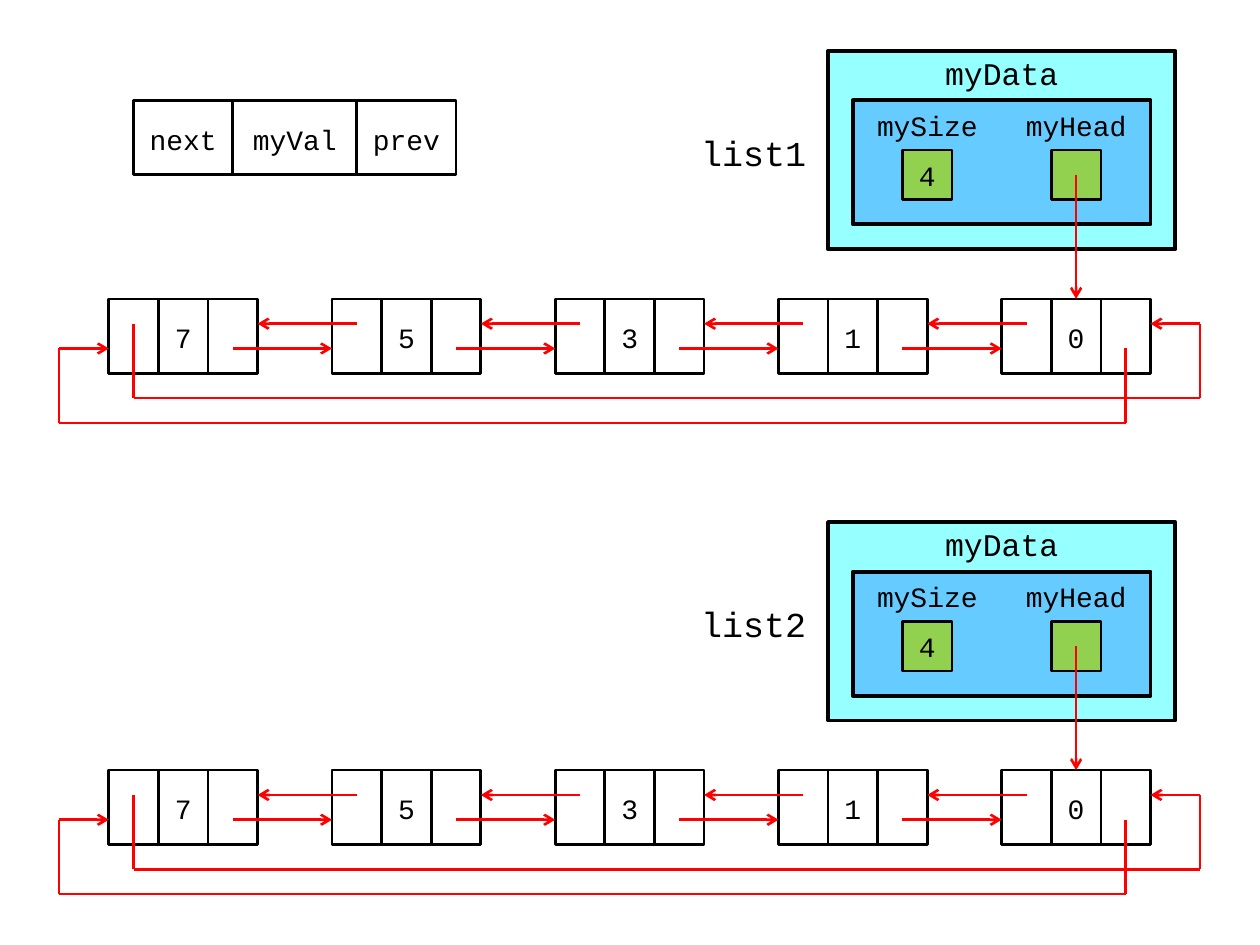
from dataclasses import dataclass
from itertools import pairwise

from lxml import etree
from pptx import Presentation
from pptx.dml.color import RGBColor
from pptx.enum.shapes import MSO_CONNECTOR, MSO_SHAPE
from pptx.enum.text import MSO_ANCHOR, PP_ALIGN
from pptx.oxml.ns import qn
from pptx.util import Cm, Inches, Pt

RECT = MSO_SHAPE.RECTANGLE
PROCESS = MSO_SHAPE.FLOWCHART_PROCESS
STRAIGHT = MSO_CONNECTOR.STRAIGHT
CENTER = PP_ALIGN.CENTER
MIDDLE = MSO_ANCHOR.MIDDLE


@dataclass(frozen=True)
class Theme:
    font: str = "Courier New"
    ink: str = "000000"
    link: str = "FF0000"
    outer: str = "96FFFF"
    inner: str = "66CCFF"
    field: str = "92D050"
    body: int = 16
    member: int = 18
    title: int = 20
    thin: float = 1.5
    thick: float = 2.25


THEME = Theme()
UNIT = Cm(0.5)
LEFT, TOP = Inches(0.47), Inches(0.01)
NODE_INSETS = (0.1, 0.06, 0.1, 0.04)
PLAIN_INSETS = (0.1, 0.05, 0.1, 0.05)
VALUES = (7, 5, 3, 1, 0)
CELL_WIDTH, NODE_HEIGHT, NODE_PITCH = 2, 3, 9


def x_at(column):
    return LEFT + round(column * UNIT)


def y_at(row):
    return TOP + round(row * UNIT)


def write(frame, wording, size, insets):
    frame.word_wrap = True
    frame.vertical_anchor = MIDDLE
    (frame.margin_left, frame.margin_top,
     frame.margin_right, frame.margin_bottom) = map(Inches, insets)
    paragraph = frame.paragraphs[0]
    paragraph.alignment = CENTER
    run = paragraph.add_run()
    run.text = wording
    run.font.name = THEME.font
    run.font.size = Pt(size)
    run.font.color.rgb = RGBColor.from_string(THEME.ink)


def add_box(slide, box, wording="", kind=RECT, fill=None, width=THEME.thin,
            insets=NODE_INSETS):
    column, row, columns, rows = box
    shape = slide.shapes.add_shape(
        kind, x_at(column), y_at(row), columns * UNIT, rows * UNIT)
    shape.shadow.inherit = False
    if fill:
        shape.fill.solid()
        shape.fill.fore_color.rgb = RGBColor.from_string(fill)
    else:
        shape.fill.background()
    if width:
        shape.line.color.rgb = RGBColor.from_string(THEME.ink)
        shape.line.width = Pt(width)
    else:
        shape.line.fill.background()
    if wording:
        write(shape.text_frame, wording, THEME.body, insets)


def add_label(slide, box, wording, size, insets):
    column, row, columns, rows = box
    label = slide.shapes.add_textbox(
        x_at(column), y_at(row), columns * UNIT, rows * UNIT)
    write(label.text_frame, wording, size, insets)


def add_link(slide, *points):
    for start, end in pairwise(points):
        link = slide.shapes.add_connector(
            STRAIGHT, x_at(start[0]), y_at(start[1]), x_at(end[0]), y_at(end[1]))
        link.line.color.rgb = RGBColor.from_string(THEME.link)
        link.line.width = Pt(THEME.thin)
        if end == points[-1]:
            outline = link.line._get_or_add_ln()
            etree.SubElement(outline, qn("a:tailEnd"), type="arrow")
        etree.SubElement(link._element.spPr, qn("a:effectLst"))


def add_node(slide, column, row, wordings, widths):
    for wording, width in zip(wordings, widths):
        add_box(slide, (column, row, width, NODE_HEIGHT), wording)
        column += width


def add_chain(slide, column, row):
    starts = [column + NODE_PITCH * index for index in range(len(VALUES))]
    first, last = starts[0], starts[-1]
    node_width = 3 * CELL_WIDTH
    prev_row, next_row = row + 1, row + 2
    for start, value in zip(starts, VALUES):
        add_node(slide, start, row, ("", str(value), ""), (CELL_WIDTH,) * 3)
    for start, following in pairwise(starts):
        add_link(slide, (start + 5, next_row), (following, next_row))
        add_link(slide, (following + 1, prev_row), (start + node_width, prev_row))
    add_link(slide, (last + 5, next_row), (last + 5, row + 5),
             (first - 2, row + 5), (first - 2, next_row), (first, next_row))
    add_link(slide, (first + 1, prev_row), (first + 1, row + 4),
             (last + 8, row + 4), (last + 8, prev_row),
             (last + node_width, prev_row))


def add_data_panel(slide, column, row):
    add_box(slide, (column, row, 14, 8), kind=PROCESS, fill=THEME.outer,
            width=THEME.thick)
    add_box(slide, (column + 1, row + 2, 12, 5), kind=PROCESS, fill=THEME.inner,
            width=THEME.thick)
    add_label(slide, (column + 4, row, 6, 2), "myData", THEME.member,
              (0.08, 0, 0.08, 0.04))
    fields = (("mySize", "4", PLAIN_INSETS),
              ("myHead", "", (0.04, 0.05, 0.04, 0.05)))
    for index, (field, value, insets) in enumerate(fields):
        left = column + 1 + 6 * index
        add_box(slide, (left, row + 2, 6, 2), field, PROCESS, width=None,
                insets=insets)
        add_box(slide, (left + 2, row + 4, 2, 2), value, fill=THEME.field,
                insets=PLAIN_INSETS)


def add_list(slide, name, row):
    add_chain(slide, 2, row + 10)
    add_label(slide, (25, row + 2, 6, 4), name, THEME.title,
              (0.08, 0.04, 0.08, 0))
    add_data_panel(slide, 31, row)
    add_link(slide, (41, row + 5), (41, row + 10))


def main():
    deck = Presentation()
    deck.slide_width, deck.slide_height = Inches(10), Inches(7.5)
    slide = deck.slides.add_slide(deck.slide_layouts[6])
    add_node(slide, 3, 4, ("next", "myVal", "prev"), (4, 5, 4))
    for name, row in (("list1", 2), ("list2", 21)):
        add_list(slide, name, row)
    deck.save("out.pptx")


main()
